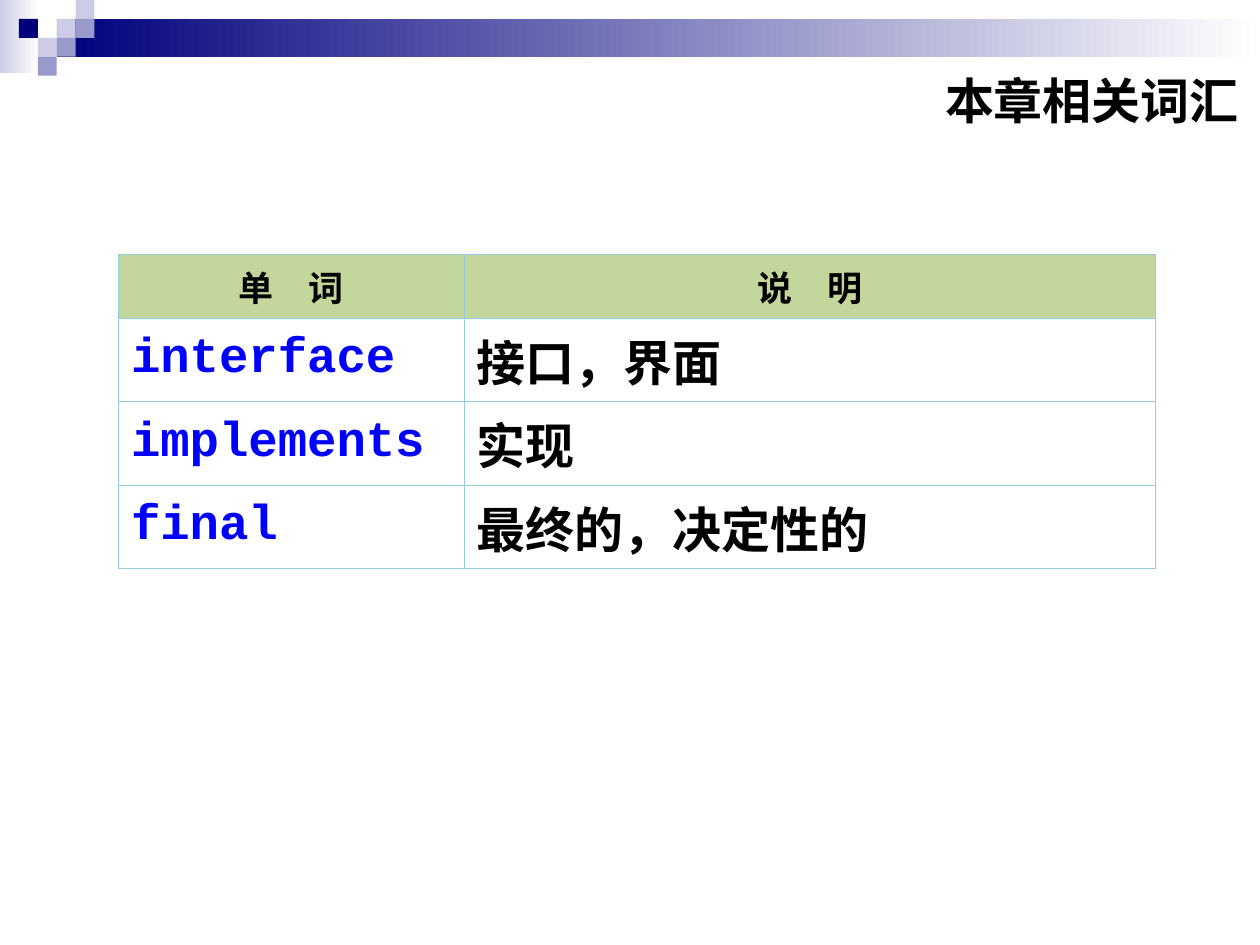
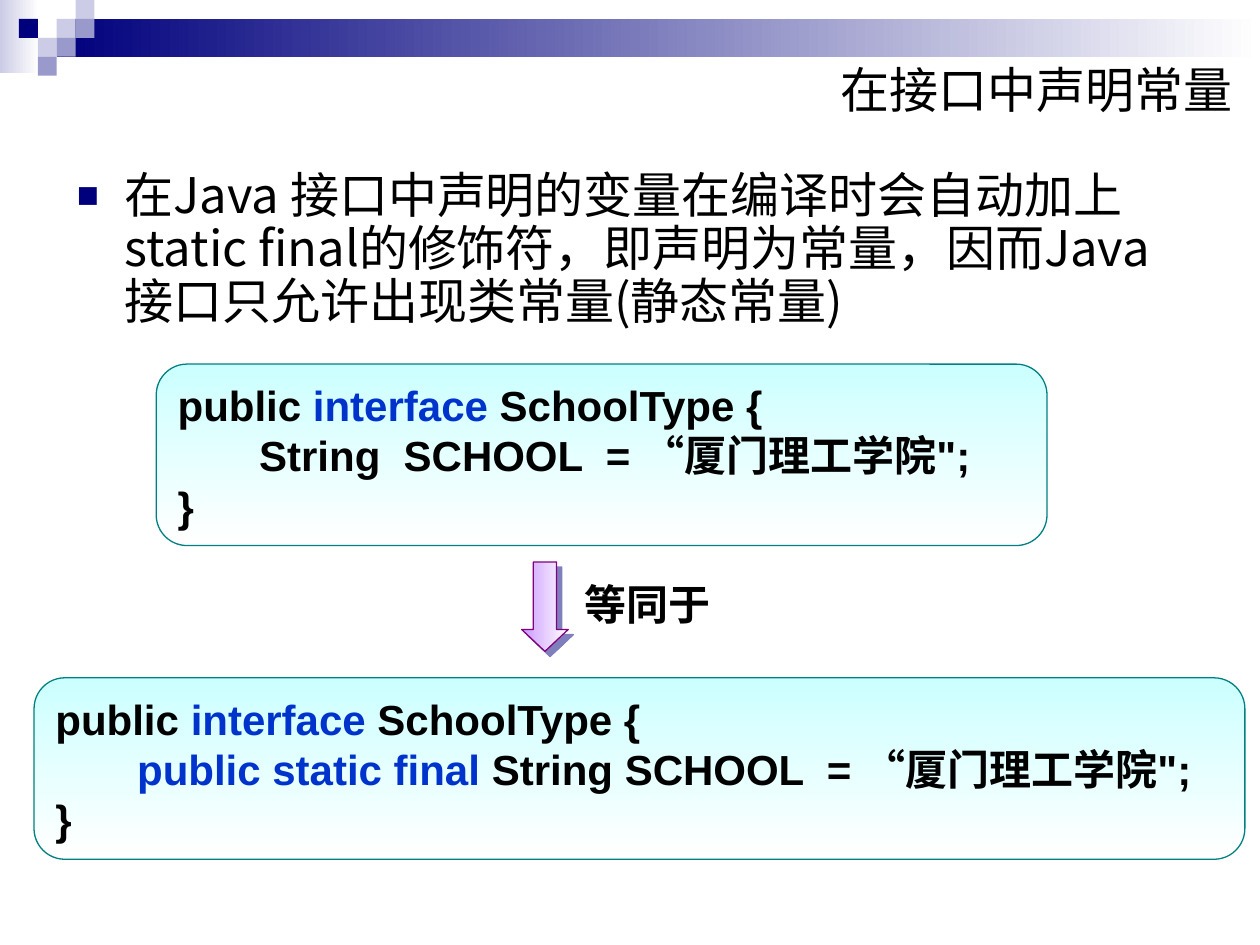
from dataclasses import dataclass

from lxml.etree import SubElement
from pptx import Presentation
from pptx.dml.color import RGBColor
from pptx.enum.shapes import MSO_SHAPE as Shape
from pptx.enum.text import MSO_ANCHOR as Anchor, MSO_AUTO_SIZE as AutoSize, PP_ALIGN as Align
from pptx.oxml.ns import qn
from pptx.util import Inches, Pt


@dataclass(frozen=True)
class Theme:
    navy: str = "00007D"
    violet: str = "9999CC"
    mist: str = "CCCCE6"
    white: str = "FFFFFF"
    black: str = "000000"
    keyword: str = "0033CC"
    word: str = "0000FF"
    header: str = "C3D69B"
    border: str = "93CDDD"
    panel: str = "CCFFFF"
    panel_line: str = "008080"
    arrow: str = "CC99FF"
    arrow_line: str = "800080"
    cjk: str = "Noto Sans CJK SC"
    sans: str = "Arial"
    mono: str = "Courier New"
    large: int = 28
    medium: int = 24
    small: int = 20
    thin: float = 0.45
    line: float = 0.75


@dataclass(frozen=True)
class Box:
    left: float
    top: float
    width: float
    height: float

    def inside(self, left, top, width, height):
        return Box(self.left + left, self.top + top, width, height)

    def lengths(self):
        return [Inches(cells * CELL) for cells in (self.left, self.top, self.width, self.height)]


THEME = Theme()
CELL = 0.1
SLIDE = Box(0, 0, 100, 75)
TILE = 1.5


def set_all(target, values):
    for name, value in values.items():
        setattr(target, name, value)


def write(para, spans, font, size, bold=False):
    for text, color in spans:
        span = para.add_run()
        span.text = text
        set_all(span.font, {"name": font, "size": Pt(size), "bold": bold})
        span.font.color.rgb = RGBColor.from_string(color)
        SubElement(span.font._element, qn("a:ea"), typeface=THEME.cjk)


def place(shape, box):
    set_all(shape, dict(zip(("left", "top", "width", "height"), box.lengths())))


def paint(shape, colors, angle=0):
    if len(colors) == 1:
        shape.fill.solid()
        shape.fill.fore_color.rgb = RGBColor.from_string(colors[0])
        return
    shape.fill.gradient()
    shape.fill.gradient_angle = (360 - angle) % 360
    for stop, color in zip(shape.fill.gradient_stops, colors):
        stop.color.rgb = RGBColor.from_string(color)
    shape.element.spPr.find(qn("a:gradFill")).set("rotWithShape", "0")


def add_block(page, kind, box, colors, angle=0, line=None):
    shape = page.shapes.add_shape(kind, *box.lengths())
    shape.shadow.inherit = False
    paint(shape, colors, angle)
    if line:
        shape.line.color.rgb = RGBColor.from_string(line)
        shape.line.width = Pt(THEME.line)
    else:
        shape.line.fill.background()
    return shape


def decorate_master(deck, page):
    def tiles(column, row, columns=1, rows=1):
        return SLIDE.inside(column * TILE, row * TILE, columns * TILE, rows * TILE)

    bar = SLIDE.inside(3 * TILE, TILE, SLIDE.width - 3 * TILE, 2 * TILE)
    blocks = [
        (SLIDE.inside(0, 0, 3.1, 5.8), (THEME.mist, THEME.white)),
        (bar, (THEME.navy, THEME.white)),
    ]
    mosaic = {
        THEME.mist: ((3, 1), (4, 0), (2, 2)),
        THEME.violet: ((4, 1), (3, 2), (2, 3)),
        THEME.navy: ((1, 1),),
    }
    for color, spots in mosaic.items():
        blocks += [(tiles(*spot), (color,)) for spot in spots]
    tree = deck.slide_master.element.cSld.spTree
    for number, (box, colors) in enumerate(blocks, 20):
        element = add_block(page, Shape.RECTANGLE, box, colors).element
        element.nvSpPr.cNvPr.set("id", str(number))
        tree.append(element)


def fill_title(page, box, text, bold=False):
    title = page.shapes.title
    place(title, box)
    frame = title.text_frame
    set_all(frame, {"word_wrap": True, "auto_size": AutoSize.NONE, "vertical_anchor": Anchor.MIDDLE})
    para = frame.paragraphs[0]
    para.alignment = Align.RIGHT
    write(para, [(text, THEME.black)], THEME.cjk, THEME.large, bold)


def fill_body(page, box, text):
    body = page.placeholders[1]
    place(body, box)
    set_all(body.text_frame, {"word_wrap": True, "auto_size": AutoSize.NONE})
    para = body.text_frame.paragraphs[0]
    set_all(para, {"line_spacing": 0.9, "space_before": Pt(0), "alignment": Align.LEFT})
    props = para._p.get_or_add_pPr()
    props.set("marL", str(Inches(0.38)))
    props.set("indent", str(-Inches(0.38)))
    SubElement(SubElement(props, qn("a:buClr")), qn("a:srgbClr"), val=THEME.navy)
    SubElement(props, qn("a:buSzPct"), val="75000")
    SubElement(props, qn("a:buChar"), char="■")
    write(para, [(text, THEME.black)], THEME.cjk, THEME.large)


def set_borders(cell, widths):
    props = cell._tc.get_or_add_tcPr()
    for index, (side, width) in enumerate(widths.items()):
        line = SubElement(props, qn(f"a:ln{side}"), w=str(Pt(width)))
        SubElement(SubElement(line, qn("a:solidFill")), qn("a:srgbClr"), val=THEME.border)
        props.insert(index, line)


def add_vocabulary(page, box, rows):
    header_height = 5
    row_height = (box.height - header_height) / (len(rows) - 1)
    table = page.shapes.add_table(len(rows), 2, *box.lengths()).table
    set_all(table, {"first_row": False, "horz_banding": False})
    for column, share in zip(table.columns, (1, 2)):
        column.width = Inches(box.width * CELL * share / 3)
    styles = ((THEME.mono, THEME.word), (THEME.cjk, THEME.black))
    last = len(rows) - 1
    for row, texts in enumerate(rows):
        table.rows[row].height = Inches((row_height if row else header_height) * CELL)
        for column, text in enumerate(texts):
            cell = table.cell(row, column)
            cell.vertical_anchor = Anchor.MIDDLE
            para = cell.text_frame.paragraphs[0]
            if row:
                cell.fill.background()
                font, color = styles[column]
                write(para, [(text, color)], font, THEME.large, True)
            else:
                cell.fill.solid()
                cell.fill.fore_color.rgb = RGBColor.from_string(THEME.header)
                para.alignment = Align.CENTER
                write(para, [(text, THEME.black)], THEME.cjk, THEME.small, True)
            outer = {"L": column == 0, "R": column == 1, "T": row == 0, "B": row == last}
            set_borders(cell, {side: THEME.line if edge else THEME.thin for side, edge in outer.items()})


def add_code(page, box, field):
    panel = add_block(page, Shape.ROUNDED_RECTANGLE, box, (THEME.panel, THEME.white), 90, THEME.panel_line)
    panel.adjustments[0] = 0.17
    frame = panel.text_frame
    set_all(frame, {"word_wrap": True, "vertical_anchor": Anchor.TOP})
    lines = [
        [("public ", THEME.black), ("interface", THEME.keyword), (" SchoolType {", THEME.black)],
        field,
        [("}", THEME.black)],
    ]
    for index, spans in enumerate(lines):
        para = frame.add_paragraph() if index else frame.paragraphs[0]
        para.alignment = Align.LEFT
        write(para, spans, THEME.sans, THEME.medium, True)


def add_arrow(page, box):
    arrow = add_block(page, Shape.RIGHT_ARROW, box, (THEME.arrow, THEME.white), 0, THEME.arrow_line)
    arrow.rotation = 90
    arrow.adjustments[1] = 0.47
    effects = arrow.element.spPr.find(qn("a:effectLst"))
    shadow = SubElement(effects, qn("a:outerShdw"), dist=str(Pt(4.2)), dir="2700000", rotWithShape="0")
    color = SubElement(shadow, qn("a:srgbClr"), val=THEME.navy)
    SubElement(color, qn("a:alpha"), val="50000")


def add_label(page, box, text):
    frame = page.shapes.add_textbox(*box.lengths()).text_frame
    frame.word_wrap = False
    write(frame.paragraphs[0], [(text, THEME.black)], THEME.sans, THEME.medium, True)


def add_equivalence(page, box):
    add_code(page, box.inside(0, 24.9, box.width, 14.4), [
        ("       ", THEME.black),
        ("public static final", THEME.keyword),
        (" String SCHOOL  = “厦门理工学院\";", THEME.black),
    ])
    add_code(page, box.inside(9.7, 0, 70.7, 14.4), [
        ("       String  SCHOOL  = “厦门理工学院\";", THEME.black),
    ])
    add_arrow(page, box.inside(37, 17.4, 7.1, 3.7))
    add_label(page, box.inside(42.7, 16.5, 12, 5), "等同于")


def build_vocabulary_slide(page):
    fill_title(page, SLIDE.inside(48, 5.2, 51.3, 5.5), "本章相关词汇", True)
    add_vocabulary(page, SLIDE.inside(9.4, 20.2, 82.3, 24.9), [
        ("单　词", "说　明"),
        ("interface", "接口，界面"),
        ("implements", "实现"),
        ("final", "最终的，决定性的"),
    ])


def build_constant_slide(page):
    fill_title(page, SLIDE.inside(62.6, 4.2, 36.2, 5.7), "在接口中声明常量")
    fill_body(
        page,
        SLIDE.inside(5.1, 13.1, 90, 14.2),
        "在Java 接口中声明的变量在编译时会自动加上static final的修饰符，"
        "即声明为常量，因而Java接口只允许出现类常量(静态常量)",
    )
    add_equivalence(page, SLIDE.inside(2.7, 28.9, 96.1, 39.3))


def main():
    deck = Presentation()
    deck.slide_width, deck.slide_height = SLIDE.lengths()[2:]
    title_only, title_and_body = deck.slide_layouts[5], deck.slide_layouts[1]
    vocabulary = deck.slides.add_slide(title_only)
    decorate_master(deck, vocabulary)
    build_vocabulary_slide(vocabulary)
    build_constant_slide(deck.slides.add_slide(title_and_body))
    deck.save("out.pptx")


if __name__ == "__main__":
    main()
